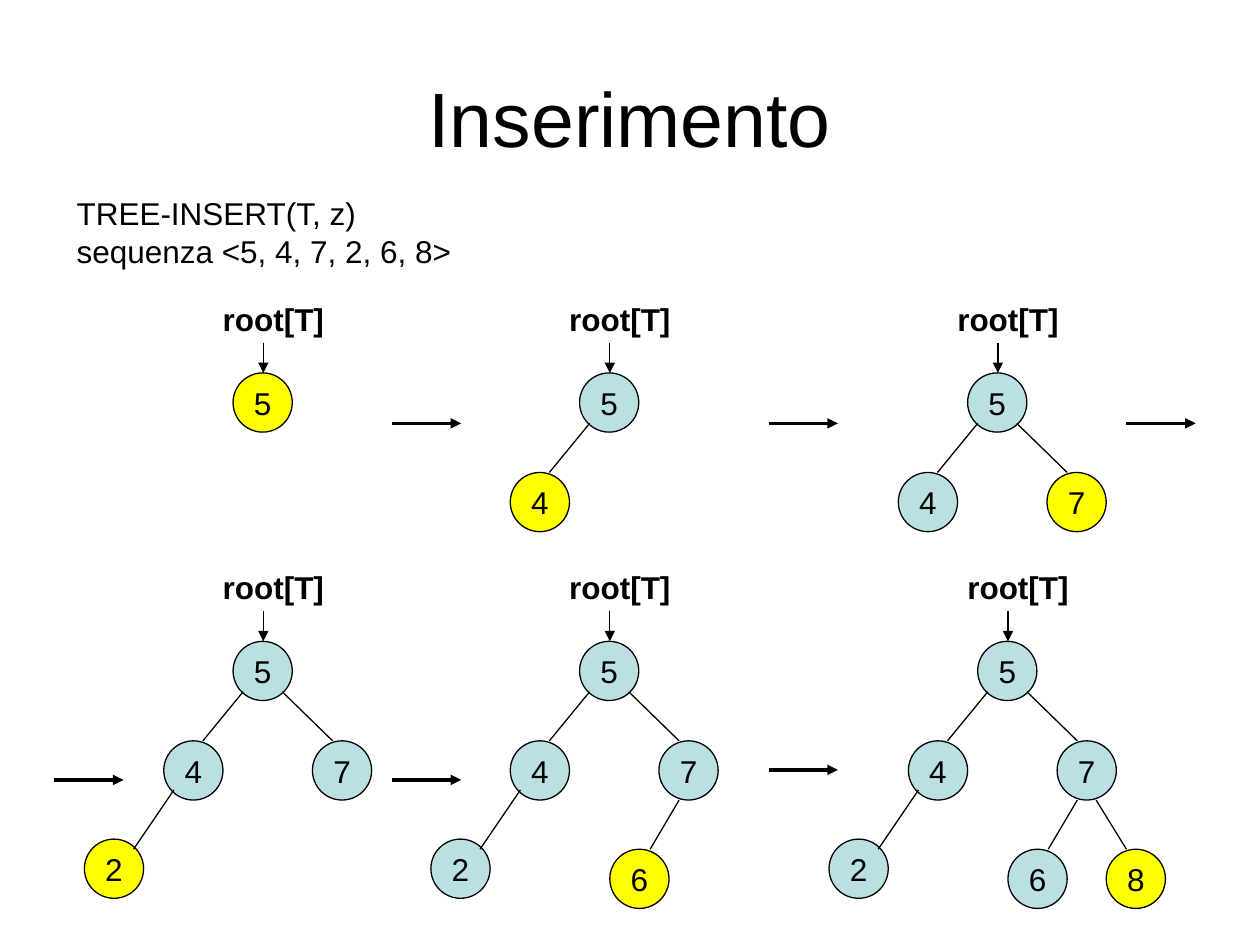
import dataclasses

import lxml.etree
import pptx
import pptx.dml.color
import pptx.enum.shapes
import pptx.enum.text
import pptx.oxml.ns
import pptx.util

Inches = pptx.util.Inches
Pt = pptx.util.Pt
ALIGN = pptx.enum.text.PP_ALIGN
ANCHOR = pptx.enum.text.MSO_ANCHOR
FIT = pptx.enum.text.MSO_AUTO_SIZE


@dataclasses.dataclass(frozen=True)
class Theme:
    font: str = "Arial"
    ink: str = "000000"
    old: str = "BBE0E3"
    new: str = "FFFF00"
    head: int = 44
    text: int = 18
    thin: float = 0.75
    thick: float = 2


THEME = Theme()
SIZE = 0.47
NODES = {5: (0, 0), 4: (-0.55, 0.79), 7: (0.63, 0.79),
         2: (-1.18, 1.57), 6: (0.24, 1.65), 8: (1.02, 1.65)}
EDGES = {4: ((0.08, 0.4), (-0.24, 0.79)), 7: ((0.39, 0.4), (0.79, 0.79)),
         2: ((-0.47, 1.18), (-0.79, 1.65)), 6: ((0.79, 1.26), (0.56, 1.65)),
         8: ((0.94, 1.26), (1.18, 1.65))}
KEYS = list(NODES)
ROOTS = [(1.85, 2.96), (4.6, 2.96), (7.68, 2.96),
         (1.85, 5.09), (4.6, 5.09), (7.76, 5.09)]
STEPS = [(3.11, 3.36), (6.1, 3.36), (8.94, 3.36),
         (0.43, 6.19), (3.11, 6.19), (6.1, 6.11)]


def tint(name):
    return pptx.dml.color.RGBColor.from_string(name)


def apply(item, values):
    for key, value in values.items():
        setattr(item, key, value)


def place(item, left, top, width, height):
    apply(item, {"left": Inches(left), "top": Inches(top),
                 "width": Inches(width), "height": Inches(height)})


def write(shape, lines, size=THEME.text, bold=False, frame=None, para=None):
    body = shape.text_frame
    body.text = "\n".join(lines)
    apply(body, {"word_wrap": True, **(frame or {})})
    for part in body.paragraphs:
        apply(part, {"alignment": ALIGN.CENTER, **(para or {})})
        for run in part.runs:
            apply(run.font, {"name": THEME.font, "size": Pt(size), "bold": bold})
            run.font.color.rgb = tint(THEME.ink)


def add_text(slide, box, lines, **style):
    shape = slide.shapes.add_textbox(*map(Inches, box))
    write(shape, lines, frame={"auto_size": FIT.SHAPE_TO_FIT_TEXT}, **style)


def add_line(slide, start, end, width=THEME.thin, arrow=False):
    kind = pptx.enum.shapes.MSO_CONNECTOR.STRAIGHT
    line = slide.shapes.add_connector(kind, *map(Inches, (*start, *end)))
    line.line.color.rgb = tint(THEME.ink)
    line.line.width = Pt(width)
    qn = pptx.oxml.ns.qn
    props = line.element.spPr
    if arrow:
        lxml.etree.SubElement(props.find(qn("a:ln")), qn("a:tailEnd"), type="triangle")
    lxml.etree.SubElement(props, qn("a:effectLst"))


def add_node(slide, spot, key, fill):
    kind = pptx.enum.shapes.MSO_SHAPE.OVAL
    node = slide.shapes.add_shape(kind, *map(Inches, (*spot, SIZE, SIZE)))
    node.shadow.inherit = False
    node.fill.solid()
    node.fill.fore_color.rgb = tint(fill)
    node.line.color.rgb = tint(THEME.ink)
    node.line.width = Pt(THEME.thin)
    sides = ("left", "right", "top", "bottom")
    frame = {f"margin_{side}": 0 for side in sides}
    write(node, [str(key)], frame={**frame, "word_wrap": False,
                                   "vertical_anchor": ANCHOR.MIDDLE})


def add_tree(slide, root, keys):
    def shift(spot):
        return root[0] + spot[0], root[1] + spot[1]

    for key in keys:
        add_node(slide, shift(NODES[key]), key,
                 THEME.new if key == keys[-1] else THEME.old)
        if key in EDGES:
            add_line(slide, *map(shift, EDGES[key]))
    add_text(slide, (*shift((-0.31, -0.63)), 1.26, 0.4), ["root[T]"], bold=True)
    add_line(slide, shift((0.24, -0.24)), shift((0.24, 0)), arrow=True)


def main():
    deck = pptx.Presentation()
    apply(deck, {"slide_width": Inches(10), "slide_height": Inches(7.5)})
    slide = deck.slides.add_slide(deck.slide_layouts.get_by_name("Title Only"))
    title = slide.shapes.title
    place(title, 0.5, 0.3, 9, 1.25)
    write(title, ["Inserimento"], THEME.head,
          frame={"vertical_anchor": ANCHOR.MIDDLE})
    add_text(slide, (0.51, 1.55, 4.57, 0.65),
             ["TREE-INSERT(T, z)", "sequenza <5, 4, 7, 2, 6, 8>"],
             para={"alignment": ALIGN.LEFT, "line_spacing": 0.8,
                   "space_before": Pt(4.5)})
    for count, root in enumerate(ROOTS, 1):
        add_tree(slide, root, KEYS[:count])
    for left, top in STEPS:
        add_line(slide, (left, top), (left + 0.55, top), THEME.thick, arrow=True)
    deck.save("out.pptx")


if __name__ == "__main__":
    main()
